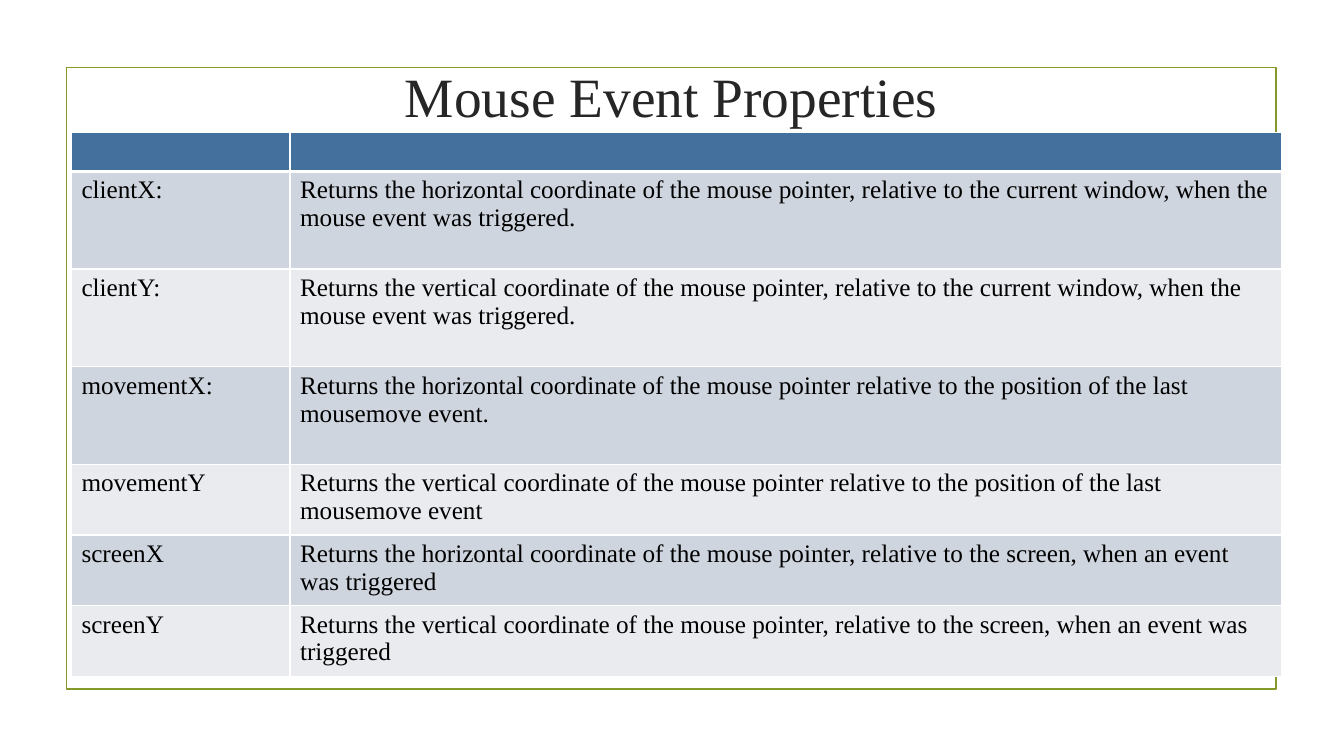
from dataclasses import dataclass

import lxml.etree
import pptx
import pptx.dml.color
import pptx.enum.shapes
import pptx.enum.text
import pptx.oxml.ns
import pptx.util

Cm = pptx.util.Cm
Pt = pptx.util.Pt
RGB = pptx.dml.color.RGBColor.from_string


@dataclass(frozen=True)
class Theme:
    font: str = "Times New Roman"
    title_size: float = 39.6
    body_size: float = 18
    title: str = "262626"
    text: str = "000000"
    frame: str = "83992A"
    header: str = "44709D"
    bands: tuple[str, str] = ("CFD5DF", "E9EBEF")
    grid: str = "FFFFFF"
    grid_width: float = 1
    header_rule: float = 3


@dataclass(frozen=True)
class MouseProperty:
    name: str
    meaning: str
    height: float


THEME = Theme()
HEADER_HEIGHT = 0.99
TALL, SHORT = 2.46, 1.73
COLUMN_WIDTHS = (5.51, 24.99)

PROPERTIES = [
    MouseProperty("clientX:", "Returns the horizontal coordinate of the mouse pointer, relative to "
                  "the current window, when the mouse event was triggered.", TALL),
    MouseProperty("clientY:", "Returns the vertical coordinate of the mouse pointer, relative to "
                  "the current window, when the mouse event was triggered.", TALL),
    MouseProperty("movementX:", "Returns the horizontal coordinate of the mouse pointer relative to "
                  "the position of the last mousemove event.", TALL),
    MouseProperty("movementY", "Returns the vertical coordinate of the mouse pointer relative to "
                  "the position of the last mousemove event", SHORT),
    MouseProperty("screenX", "Returns the horizontal coordinate of the mouse pointer, relative to "
                  "the screen, when an event was triggered", SHORT),
    MouseProperty("screenY", "Returns the vertical coordinate of the mouse pointer, relative to "
                  "the screen, when an event was triggered", SHORT),
]


def write(tf, text: str, size: float, color: str) -> None:
    r = tf.paragraphs[0].add_run()
    r.text = text
    for key, value in {"name": THEME.font, "size": Pt(size)}.items():
        setattr(r.font, key, value)
    r.font.color.rgb = RGB(color)


def style_cell(cell, fill: str, top: float, bottom: float) -> None:
    """Give a cell its borders, then its fill."""
    tc_pr = cell._tc.get_or_add_tcPr()
    widths = {"a:lnL": THEME.grid_width, "a:lnR": THEME.grid_width, "a:lnT": top, "a:lnB": bottom}
    for tag, width in widths.items():
        ln = lxml.etree.SubElement(tc_pr, pptx.oxml.ns.qn(tag), w=str(Pt(width)))
        solid = lxml.etree.SubElement(ln, pptx.oxml.ns.qn("a:solidFill"))
        lxml.etree.SubElement(solid, pptx.oxml.ns.qn("a:srgbClr"), val=THEME.grid)
    cell.fill.solid()
    cell.fill.fore_color.rgb = RGB(fill)


def add_frame(slide) -> None:
    sp = slide.shapes.add_shape(pptx.enum.shapes.MSO_SHAPE.RECTANGLE,
                                Cm(1.68), Cm(1.7), Cm(30.48), Cm(15.67))
    sp.shadow.inherit = False
    sp.fill.background()
    sp.line.color.rgb = RGB(THEME.frame)
    sp.line.width = Pt(1.25)


def add_title(slide, text: str) -> None:
    tf = slide.shapes.add_textbox(Cm(2.46), Cm(1.8), Cm(28.91), Cm(1.22)).text_frame
    settings = {"word_wrap": True, "vertical_anchor": pptx.enum.text.MSO_ANCHOR.MIDDLE,
                "margin_top": 0, "margin_bottom": 0}
    for key, value in settings.items():
        setattr(tf, key, value)
    tf.paragraphs[0].alignment = pptx.enum.text.PP_ALIGN.CENTER
    write(tf, text, THEME.title_size, THEME.title)


def add_property_table(slide, properties: list[MouseProperty]) -> None:
    heights = [HEADER_HEIGHT] + [item.height for item in properties]
    table = slide.shapes.add_table(len(heights), len(COLUMN_WIDTHS), Cm(1.8), Cm(3.33),
                                   Cm(sum(COLUMN_WIDTHS)), Cm(sum(heights))).table
    table.first_row = table.horz_banding = False
    for column, width in zip(table.columns, COLUMN_WIDTHS):
        column.width = Cm(width)
    for row, height in zip(table.rows, heights):
        row.height = Cm(height)

    # Empty header row
    for cell in table.rows[0].cells:
        cell.margin_top = cell.margin_bottom = 0
        style_cell(cell, THEME.header, THEME.grid_width, THEME.header_rule)

    # One banded row per property
    for i, item in enumerate(properties):
        top = THEME.grid_width if i else THEME.header_rule
        for cell, text in zip(table.rows[i + 1].cells, (item.name, item.meaning)):
            style_cell(cell, THEME.bands[i % 2], top, THEME.grid_width)
            write(cell.text_frame, text, THEME.body_size, THEME.text)


def main() -> None:
    prs = pptx.Presentation()
    prs.slide_width, prs.slide_height = Cm(33.87), Cm(19.05)
    s = prs.slides.add_slide(prs.slide_layouts[6])
    add_frame(s)
    add_title(s, "Mouse Event Properties")
    add_property_table(s, PROPERTIES)
    prs.save("out.pptx")


if __name__ == "__main__":
    main()
